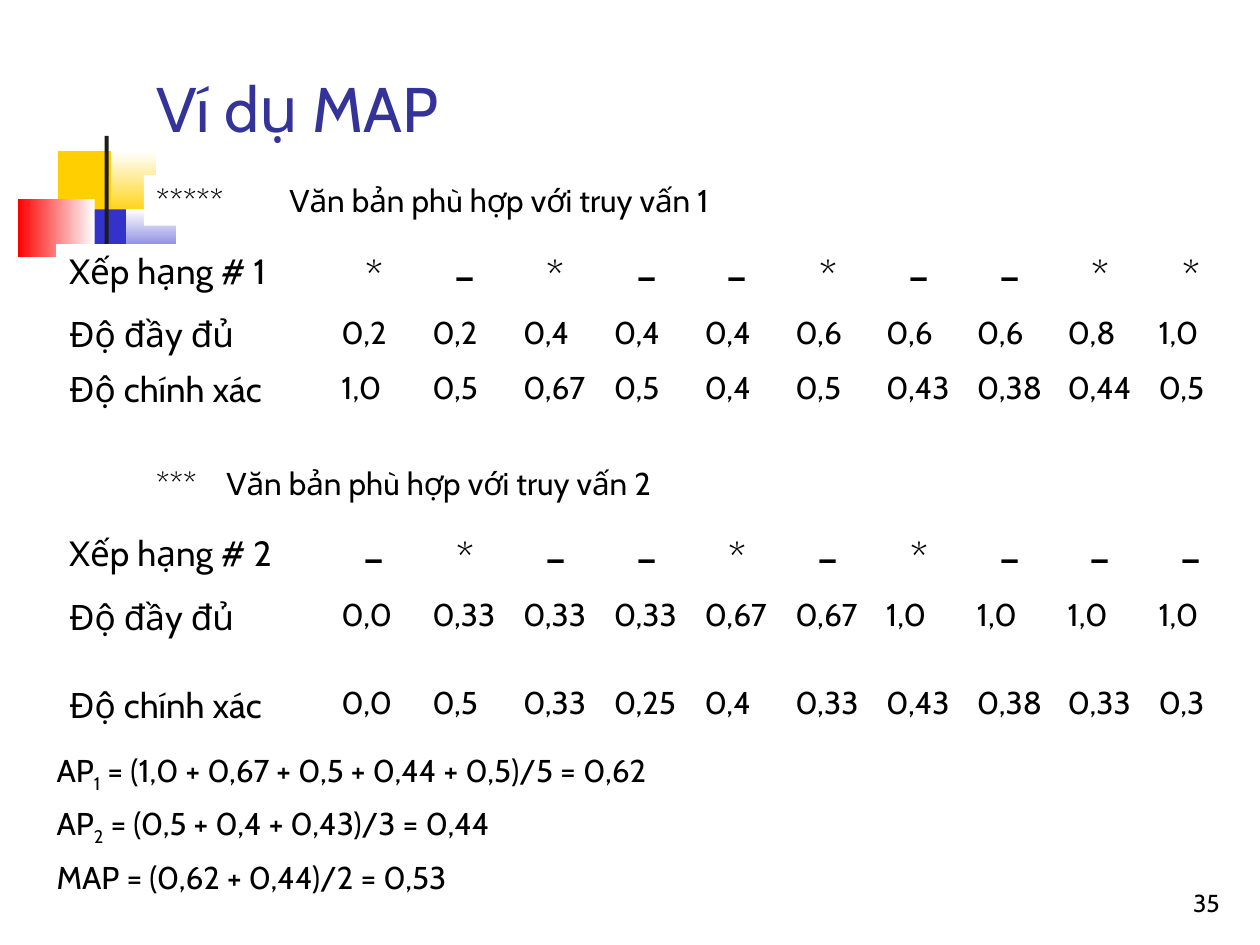
from dataclasses import dataclass

import pptx
import pptx.dml.color
import pptx.enum.shapes
import pptx.enum.text
import pptx.util

Cm = pptx.util.Cm
Align = pptx.enum.text.PP_ALIGN
Anchor = pptx.enum.text.MSO_ANCHOR


@dataclass(frozen=True)
class Theme:
    font: str = "Cabin"
    ink: str = "000000"
    title: str = "333399"
    paper: str = "FFFFFF"
    yellow: str = "FFCF01"
    blue: str = "3333CC"
    red: str = "FF0000"
    bar: str = "1C1C1C"
    title_size: int = 36
    mark_size: int = 24
    label_size: int = 20
    body_size: int = 18
    number_size: int = 14


theme = Theme()
rgb = pptx.dml.color.RGBColor.from_string


def add_run(paragraph, text, size, color=theme.ink, subscript=False):
    run = paragraph.add_run()
    run.text = text
    run.font.name = theme.font
    run.font.size = pptx.util.Pt(size)
    run.font.color.rgb = rgb(color)
    if subscript:
        run._r.get_or_add_rPr().set("baseline", "-25000")


def add_box(left, top, width, height, fill=None, anchor=Anchor.TOP):
    box = slide.shapes.add_textbox(Cm(left), Cm(top), Cm(width), Cm(height))
    box.text_frame.word_wrap = True
    box.text_frame.vertical_anchor = anchor
    if fill:
        box.fill.solid()
        box.fill.fore_color.rgb = rgb(fill)
    return box.text_frame


deck = pptx.Presentation()
deck.slide_width, deck.slide_height = Cm(25.4), Cm(19.05)
slide = deck.slides.add_slide(deck.slide_layouts[6])

# Corner ornament: left, top, width, height, colours, gradient angle
ornament = [
    (1.17, 3.05, 1.22, 1.32, [theme.yellow], None),
    (2.24, 3.05, 0.91, 1.32, [theme.yellow, theme.paper], 90),
    (1.5, 4.22, 1.17, 1.32, [theme.blue], None),
    (2.54, 4.22, 1.02, 1.32, [theme.blue, theme.paper], 90),
    (0.36, 4.01, 1.55, 1.17, [theme.paper, theme.red], 180),
    (2.11, 2.74, 0.08, 2.92, [theme.bar], None),
]
for left, top, width, height, colors, angle in ornament:
    block = slide.shapes.add_shape(
        pptx.enum.shapes.MSO_SHAPE.RECTANGLE,
        Cm(left), Cm(top), Cm(width), Cm(height))
    block.shadow.inherit = False
    block.line.fill.background()
    if angle is None:
        block.fill.solid()
        block.fill.fore_color.rgb = rgb(colors[0])
    else:
        block.fill.gradient()
        block.fill.gradient_angle = angle
        for stop, color in zip(block.fill.gradient_stops, colors):
            stop.color.rgb = rgb(color)

# Slide number and title
page_number = add_box(19.56, 17.35, 5.28, 1.27, anchor=Anchor.BOTTOM).paragraphs[0]
page_number.alignment = Align.RIGHT
add_run(page_number, "35", theme.number_size)
title = add_box(2.9, 1.32, 21.84, 1.73, anchor=Anchor.BOTTOM).paragraphs[0]
add_run(title, "Ví dụ MAP", theme.title_size, theme.title)

# Two queries: caption above a ranking table
queries = [
    (3.53, "*****\t Văn bản phù hợp với truy vấn 1", 4.93, [1.27, 1.09, 1.78], [
        ("Xếp hạng # 1", "* – * – – * – – * *"),
        ("Độ đầy đủ", "0,2 0,2 0,4 0,4 0,4 0,6 0,6 0,6 0,8 1,0"),
        ("Độ chính xác", "1,0 0,5 0,67 0,5 0,4 0,5 0,43 0,38 0,44 0,5"),
    ]),
    (9.22, "***\t Văn bản phù hợp với truy vấn 2", 10.62, [1.27, 1.78, 1.78], [
        ("Xếp hạng # 2", "– * – – * – * – – –"),
        ("Độ đầy đủ", "0,0 0,33 0,33 0,33 0,67 0,67 1,0 1,0 1,0 1,0"),
        ("Độ chính xác", "0,0 0,5 0,33 0,25 0,4 0,33 0,43 0,38 0,33 0,3"),
    ]),
]
column_widths = [5.49] + [1.83] * 10
for caption_top, caption, table_top, row_heights, rows in queries:
    caption_frame = add_box(2.9, caption_top, 19.41, 1.02, theme.paper)
    add_run(caption_frame.paragraphs[0], caption, theme.body_size)

    ranking = slide.shapes.add_table(
        len(rows), len(column_widths), Cm(1.14), Cm(table_top),
        Cm(sum(column_widths)), Cm(sum(row_heights))).table
    ranking.first_row = ranking.horz_banding = False
    for column, width in zip(ranking.columns, column_widths):
        column.width = Cm(width)
    for r, (label, values) in enumerate(rows):
        ranking.rows[r].height = Cm(row_heights[r])
        value_size = theme.mark_size if r == 0 else theme.body_size
        for c, text in enumerate([label] + values.split()):
            cell = ranking.cell(r, c)
            cell.fill.solid()
            cell.fill.fore_color.rgb = rgb(theme.paper)
            paragraph = cell.text_frame.paragraphs[0]
            if r == 0 and c > 0:
                paragraph.alignment = Align.CENTER
            add_run(paragraph, text, value_size if c else theme.label_size)

# Average precision and its mean: name, subscript, calculation
formulas = [
    ("AP", "1", " = (1,0 + 0,67 + 0,5 + 0,44 + 0,5)/5 = 0,62"),
    ("AP", "2", " = (0,5 + 0,4 + 0,43)/3 = 0,44"),
    ("MAP", "", " = (0,62 + 0,44)/2 = 0,53"),
]
results = add_box(0.89, 15.01, 23.19, 3.18, theme.paper)
for i, (name, index, calculation) in enumerate(formulas):
    paragraph = results.add_paragraph() if i else results.paragraphs[0]
    if i:
        paragraph.space_before = pptx.util.Pt(6)
    add_run(paragraph, name, theme.body_size)
    if index:
        add_run(paragraph, index, theme.body_size, subscript=True)
    add_run(paragraph, calculation, theme.body_size)

deck.save("out.pptx")
